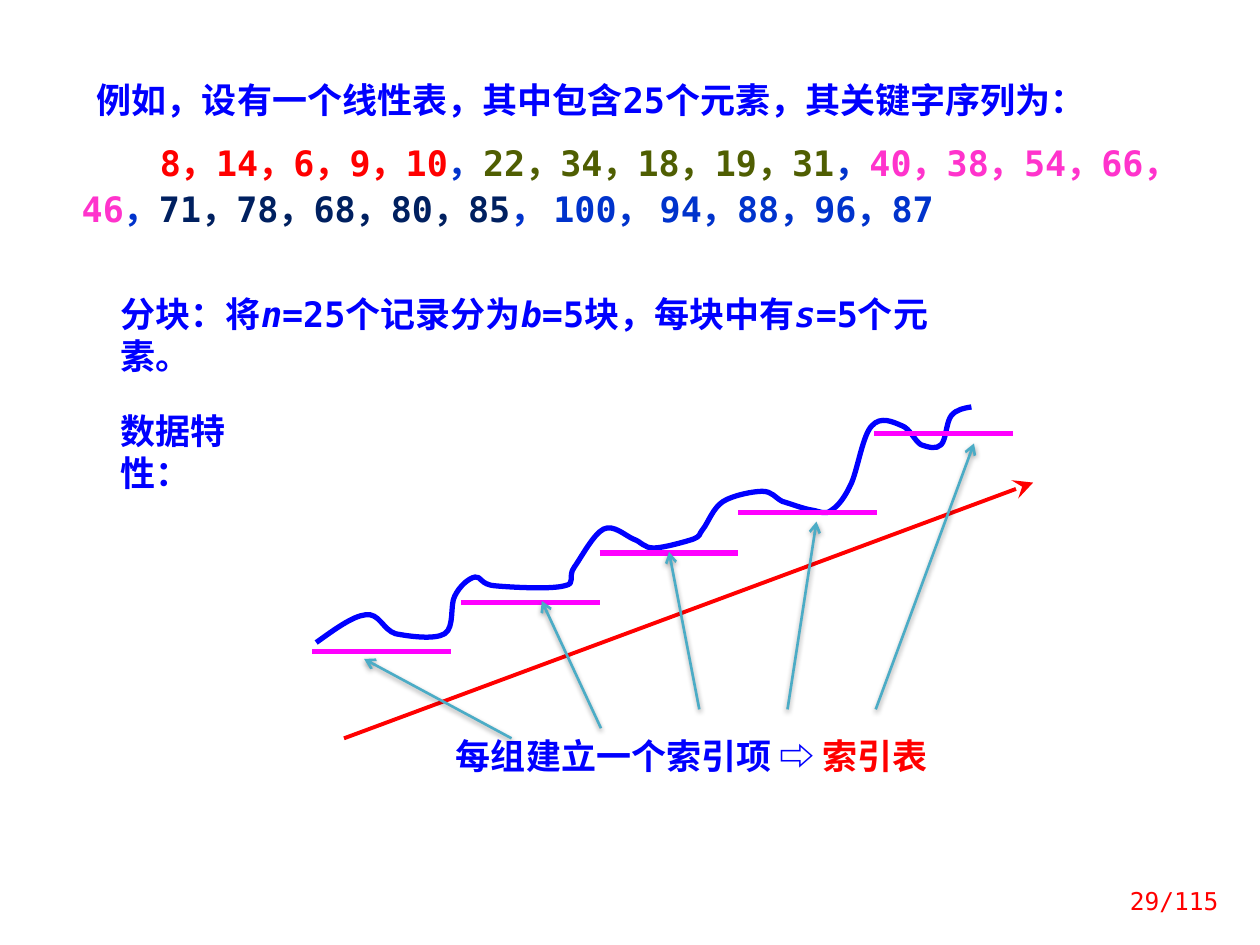
from lxml import etree
from pptx import Presentation
from pptx import util as u
from pptx.dml.color import RGBColor
from pptx.enum import shapes, text
from pptx.oxml import ns

COLORS = {
    "blue": "0000FF", "royal": "0033CC", "red": "FF0000", "olive": "4F5E02",
    "pink": "FF33CC", "navy": "002060", "magenta": "FF00FF", "teal": "4BACC6",
    "shadow": "000000",
}
MONO, CHINESE = "DejaVu Sans Mono", "Noto Sans CJK SC"

# Each paragraph is a list of (text, color) or (text, color, italic) runs
INTRO = [("例如，设有一个线性表，其中包含25个元素，其关键字序列为：", "blue")]
KEYS = [
    ("8，14，6，9，10", "red"), ("，", "royal"),
    ("22，34，18，19，31", "olive"), ("，", "royal"),
    ("40，38，54，66， 46", "pink"), ("，", "royal"),
    ("71，78，68，80，85", "navy"), ("， 100， 94，88，96，87", "royal"),
]
BLOCKS = [
    ("分块：将", "blue"), ("n", "blue", True), ("=25个记录分为", "blue"),
    ("b", "blue", True), ("=5块，每块中有", "blue"),
    ("s", "blue", True), ("=5个元素。", "blue"),
]
INDEX = [("每组建立一个索引项 ⇨ ", "blue"), ("索引表", "red")]

# Start point, then two control points and an end point per curve
DATA_CURVE = [
    (2.51, 5.1),
    (2.65, 5), (2.8, 4.89), (2.9, 4.88),
    (3.01, 4.86), (3.04, 5), (3.14, 5.03),
    (3.24, 5.05), (3.45, 5.08), (3.53, 5.03),
    (3.61, 4.98), (3.57, 4.8), (3.61, 4.73),
    (3.65, 4.65), (3.72, 4.59), (3.77, 4.58),
    (3.82, 4.57), (3.81, 4.64), (3.93, 4.65),
    (4.04, 4.66), (4.37, 4.68), (4.48, 4.65),
    (4.58, 4.63), (4.5, 4.58), (4.56, 4.5),
    (4.61, 4.43), (4.71, 4.24), (4.79, 4.2),
    (4.87, 4.16), (4.96, 4.25), (5.03, 4.28),
    (5.09, 4.3), (5.11, 4.35), (5.19, 4.35),
    (5.26, 4.35), (5.44, 4.3), (5.5, 4.28),
    (5.57, 4.25), (5.54, 4.25), (5.58, 4.2),
    (5.62, 4.15), (5.66, 4.03), (5.74, 3.98),
    (5.82, 3.93), (5.98, 3.9), (6.05, 3.9),
    (6.13, 3.9), (6.15, 3.95), (6.21, 3.98),
    (6.28, 4), (6.38, 4.04), (6.45, 4.05),
    (6.51, 4.06), (6.55, 4.09), (6.6, 4.05),
    (6.66, 4.01), (6.71, 3.94), (6.76, 3.83),
    (6.81, 3.71), (6.85, 3.45), (6.92, 3.38),
    (6.99, 3.3), (7.09, 3.35), (7.16, 3.38),
    (7.22, 3.4), (7.26, 3.5), (7.31, 3.53),
    (7.37, 3.55), (7.43, 3.57), (7.47, 3.53),
    (7.51, 3.49), (7.51, 3.35), (7.55, 3.3),
    (7.59, 3.25), (7.65, 3.24), (7.71, 3.23),
]
BLOCK_WIDTH = 1.1
BLOCK_STARTS = [(2.48, 5.17), (3.66, 4.78), (4.76, 4.39), (5.86, 4.07), (6.94, 3.44)]
INDEX_ARROWS = [
    ((4.06, 5.86), (2.89, 5.23)), ((4.77, 5.78), (4.3, 4.77)),
    ((5.55, 5.63), (5.31, 4.38)), ((6.25, 5.63), (6.48, 4.14)),
    ((6.95, 5.63), (7.73, 3.52)),
]


def rgb(name):
    return RGBColor.from_string(COLORS[name])


def add_child(parent, tag, **attributes):
    return etree.SubElement(parent, ns.qn(tag), attributes)


def add_text(parent, box, paragraphs, size=20, bold=True, font=MONO,
             indents=(0,), line_spacing=None, align=text.PP_ALIGN.LEFT):
    shape = parent.add_textbox(*map(u.Inches, box))
    frame = shape.text_frame
    frame.word_wrap = True
    for index, (runs, indent) in enumerate(zip(paragraphs, indents)):
        paragraph = frame.add_paragraph() if index else frame.paragraphs[0]
        paragraph.alignment = align
        properties = paragraph._p.get_or_add_pPr()
        properties.set("indent", str(u.Inches(indent)))
        properties.set("hangingPunct", "0")
        if index:
            paragraph.space_before = u.Pt(10)
        if line_spacing:
            paragraph.line_spacing = u.Pt(line_spacing)
        for content, color, *italic in runs:
            run = paragraph.add_run()
            run.text = content
            run.font.name = font
            run.font.size = u.Pt(size)
            run.font.bold = bold
            run.font.italic = bool(italic)
            run.font.color.rgb = rgb(color)
            add_child(run.font._element, "a:ea", typeface=CHINESE)
    return shape


def add_line(parent, start, end, color, width, head=None, head_size="med", shadow=False):
    line = parent.add_connector(shapes.MSO_CONNECTOR.STRAIGHT,
                                *map(u.Inches, (*start, *end)))
    line.line.color.rgb = rgb(color)
    line.line.width = u.Pt(width)
    if head:
        add_child(line.line._get_or_add_ln(), "a:tailEnd", type=head,
                  w=head_size, len=head_size)
    effects = add_child(line._element.spPr, "a:effectLst")
    if shadow:
        outer = add_child(effects, "a:outerShdw", blurRad=str(u.Pt(3.1)),
                          dist=str(u.Pt(1.6)), dir="5400000", rotWithShape="0")
        tint = add_child(outer, "a:srgbClr", val=COLORS["shadow"])
        add_child(tint, "a:alpha", val="38000")
    return line


def add_curve(parent, points, color, width):
    start, *rest = [(u.Inches(x), u.Inches(y)) for x, y in points]
    builder = parent.build_freeform(*start)
    builder.add_line_segments(rest, close=False)
    shape = builder.convert_to_shape()
    shape.shadow.inherit = False
    shape.fill.background()
    shape.line.color.rgb = rgb(color)
    shape.line.width = u.Pt(width)
    # Merge every three straight segments into one cubic curve
    segments = list(shape._element.iter(ns.qn("a:lnTo")))
    for first in range(0, len(segments), 3):
        outline = segments[first].getparent()
        curve = add_child(outline, "a:cubicBezTo")
        for segment in segments[first:first + 3]:
            curve.append(segment[0])
            outline.remove(segment)
    return shape


def main():
    presentation = Presentation()
    presentation.slide_width, presentation.slide_height = u.Inches(10), u.Inches(7.5)
    slide = presentation.slides.add_slide(presentation.slide_layouts[6])

    # Key sequence and block division
    add_text(slide.shapes, (0.55, 0.55, 8.98, 1.36), [INTRO, KEYS],
             indents=(0.12, 0.62), line_spacing=26)
    add_text(slide.shapes, (0.86, 2.27, 6.95, 0.44), [BLOCKS])

    # Data trend
    add_curve(slide.shapes, DATA_CURVE, "blue", 3)
    add_line(slide.shapes, (2.73, 5.86), (8.2, 3.83), "red", 2.25, "stealth", "lg")
    add_text(slide.shapes, (0.86, 3.2, 1.56, 0.44), [[("数据特性：", "blue")]],
             font=CHINESE)

    # One level line per block
    levels = slide.shapes.add_group_shape().shapes
    for left, top in BLOCK_STARTS:
        add_line(levels, (left, top), (left + BLOCK_WIDTH, top), "magenta", 3)

    # Index entries pointing at the blocks
    entries = slide.shapes.add_group_shape().shapes
    add_text(entries, (3.52, 5.78, 4.45, 0.44), [INDEX])
    for start, end in INDEX_ARROWS:
        add_line(entries, start, end, "teal", 1.5, "arrow", shadow=True)

    # Page number
    page = add_text(slide.shapes, (8.63, 6.95, 1.14, 0.4), [[("29/115", "red")]],
                    size=14, bold=False, align=text.PP_ALIGN.RIGHT)
    page.text_frame.vertical_anchor = text.MSO_ANCHOR.MIDDLE

    presentation.save("out.pptx")


if __name__ == "__main__":
    main()
